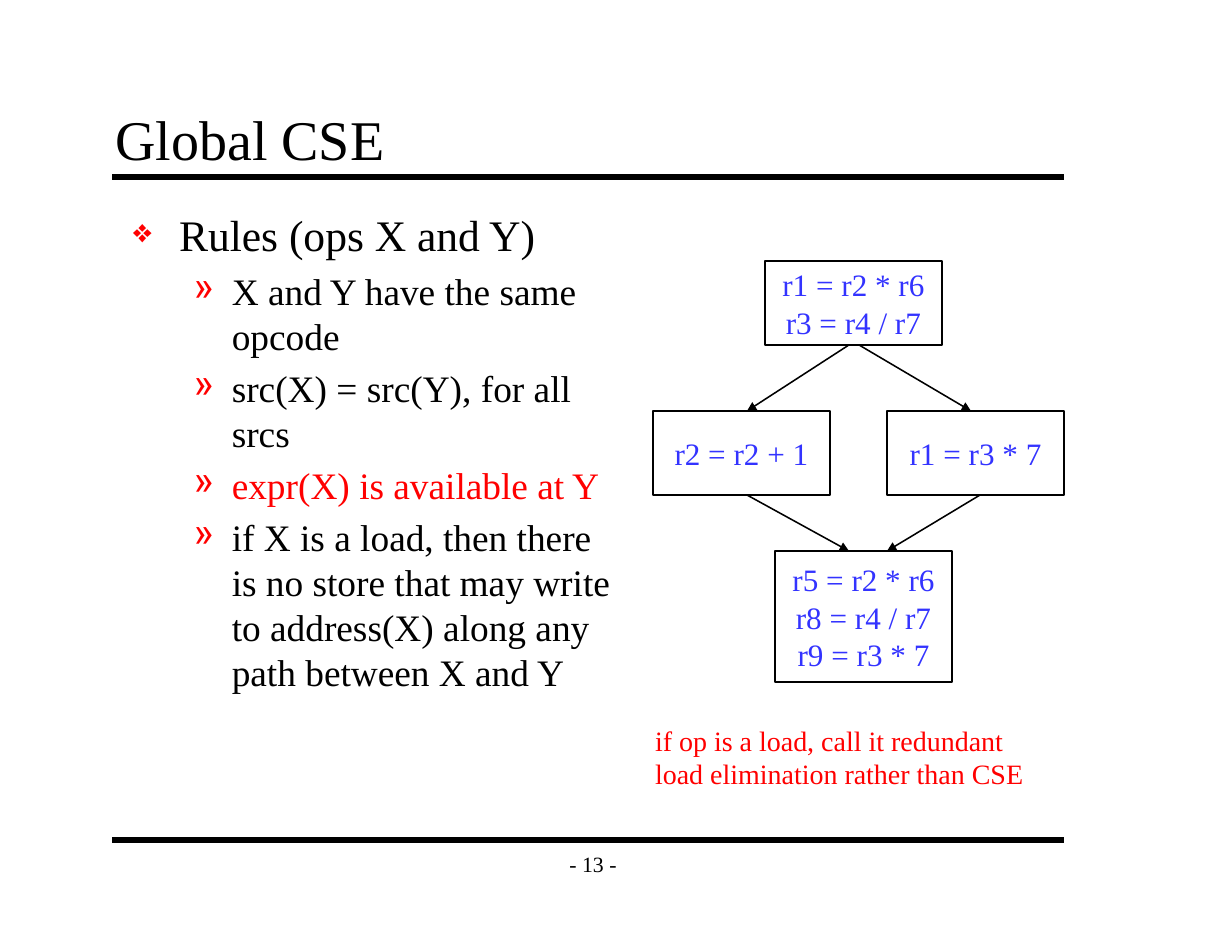
from lxml import etree
from pptx import Presentation
from pptx.dml.color import RGBColor
from pptx.enum.shapes import MSO_CONNECTOR, MSO_SHAPE
from pptx.enum.text import MSO_ANCHOR, PP_ALIGN
from pptx.oxml.ns import qn
from pptx.util import Inches, Pt

STRAIGHT, RECTANGLE = MSO_CONNECTOR.STRAIGHT, MSO_SHAPE.RECTANGLE
TOP, MIDDLE, BOTTOM = MSO_ANCHOR.TOP, MSO_ANCHOR.MIDDLE, MSO_ANCHOR.BOTTOM
LEFT, CENTER = PP_ALIGN.LEFT, PP_ALIGN.CENTER

FONT = "Times New Roman"
COLORS = {"black": "000000", "white": "FFFFFF", "red": "FF0000", "blue": "3333FF"}

# Content
TITLE = "Global CSE"
PAGE_NUMBER = "- 13 -"
RULES = [  # level, text, color
    (0, "Rules (ops X and Y)", "black"),
    (1, "X and Y have the same opcode", "black"),
    (1, "src(X) = src(Y), for all srcs", "black"),
    (1, "expr(X) is available at Y", "red"),
    (1, "if X is a load, then there is no store that may write to "
        "address(X) along any path between X and Y", "black"),
]
LEVELS = [  # size, left margin, hanging indent, bullet, bullet percent
    (28, 0.41, 0.41, "❖", 75),
    (24, 0.88, 0.34, "»", 100),
]
NOTE = ["if op is a load, call it redundant", "load elimination rather than CSE"]
BLOCK_WIDTH = 1.58
BLOCKS = [  # left, top, height, instructions
    (6.83, 2.33, 0.75, ["r1 = r2 * r6", "r3 = r4 / r7"]),
    (5.83, 3.67, 0.75, ["r2 = r2 + 1"]),
    (7.92, 3.67, 0.75, ["r1 = r3 * 7"]),
    (6.92, 4.92, 1.17, ["r5 = r2 * r6", "r8 = r4 / r7", "r9 = r3 * 7"]),
]
EDGES = [  # source block, start x, target block, end x
    (0, 7.58, 1, 6.67),
    (0, 7.67, 2, 8.67),
    (1, 6.67, 3, 7.58),
    (2, 8.75, 3, 7.92),
]
RULE_LINES = [1.58, 7.5]

presentation = Presentation()
presentation.slide_width, presentation.slide_height = Inches(11), Inches(8.5)
slide = presentation.slides.add_slide(presentation.slide_layouts[6])


def rgb(name):
    return RGBColor.from_string(COLORS[name])


def style(paragraph, size, color, align=LEFT):
    paragraph.alignment = align
    paragraph.font.name = FONT
    paragraph.font.size = Pt(size)
    paragraph.font.color.rgb = rgb(color)


def fill_text(shape, lines, size, color, align=LEFT, anchor=TOP, wrap=False,
              margins=(0.1, 0.05)):
    frame = shape.text_frame
    frame.word_wrap = wrap
    frame.vertical_anchor = anchor
    frame.margin_left = frame.margin_right = Inches(margins[0])
    frame.margin_top = frame.margin_bottom = Inches(margins[1])
    frame.text = "\n".join(lines)
    for paragraph in frame.paragraphs:
        style(paragraph, size, color, align)


def add_text(box, lines, size, color, **options):
    shape = slide.shapes.add_textbox(*map(Inches, box))
    fill_text(shape, lines, size, color, **options)
    return shape


def add_line(start, end, width, arrow=False):
    line = slide.shapes.add_connector(STRAIGHT, *map(Inches, start + end))
    line.line.color.rgb = rgb("black")
    line.line.width = Pt(width)
    if arrow:
        etree.SubElement(line.line._get_or_add_ln(), qn("a:tailEnd"), type="triangle")
    etree.SubElement(line._element.spPr, qn("a:effectLst"))


def add_bullet(paragraph, margin, hanging, character, percent):
    properties = paragraph._p.get_or_add_pPr()
    properties.set("marL", str(Inches(margin)))
    properties.set("indent", str(-Inches(hanging)))
    bullet_color = etree.SubElement(properties, qn("a:buClr"))
    etree.SubElement(bullet_color, qn("a:srgbClr"), val=COLORS["red"])
    etree.SubElement(properties, qn("a:buSzPct"), val=str(percent * 1000))
    etree.SubElement(properties, qn("a:buChar"), char=character)


# Frame: rules, page number and title
for y in RULE_LINES:
    add_line((1, y), (9.5, y), 4)
add_text((4.92, 7.5, 0.75, 0.42), [PAGE_NUMBER], 14, "black",
         align=CENTER, anchor=MIDDLE, margins=(0.11, 0.06))
add_text((0.92, 0.92, 8.83, 0.67), [TITLE], 36, "black",
         anchor=BOTTOM, wrap=True, margins=(0.11, 0.06))

# Bulleted rules
body = slide.shapes.add_textbox(Inches(1.08), Inches(1.8), Inches(4.5), Inches(5.7))
frame = body.text_frame
frame.word_wrap = True
frame.margin_left = frame.margin_right = Inches(0.11)
frame.margin_top = frame.margin_bottom = Inches(0.06)
frame.text = "\n".join(text for _, text, _ in RULES)
for paragraph, (level, _, color) in zip(frame.paragraphs, RULES):
    size, *bullet = LEVELS[level]
    paragraph.level = level
    paragraph.space_before = Pt(size * 0.2)
    add_bullet(paragraph, *bullet)
    style(paragraph, size, color)

# Flow graph
for left, top, height, instructions in BLOCKS:
    block = slide.shapes.add_shape(
        RECTANGLE, *map(Inches, (left, top, BLOCK_WIDTH, height)))
    block.shadow.inherit = False
    block.fill.solid()
    block.fill.fore_color.rgb = rgb("white")
    block.line.color.rgb = rgb("black")
    block.line.width = Pt(1)
    fill_text(block, instructions, 20, "blue", align=CENTER, anchor=MIDDLE)
for source, start_x, target, end_x in EDGES:
    _, top, height, _ = BLOCKS[source]
    add_line((start_x, top + height), (end_x, BLOCKS[target][1]), 1, arrow=True)

# Note on loads
add_text((5.75, 6.41, 3.49, 0.7), NOTE, 18, "red")

presentation.save("out.pptx")
